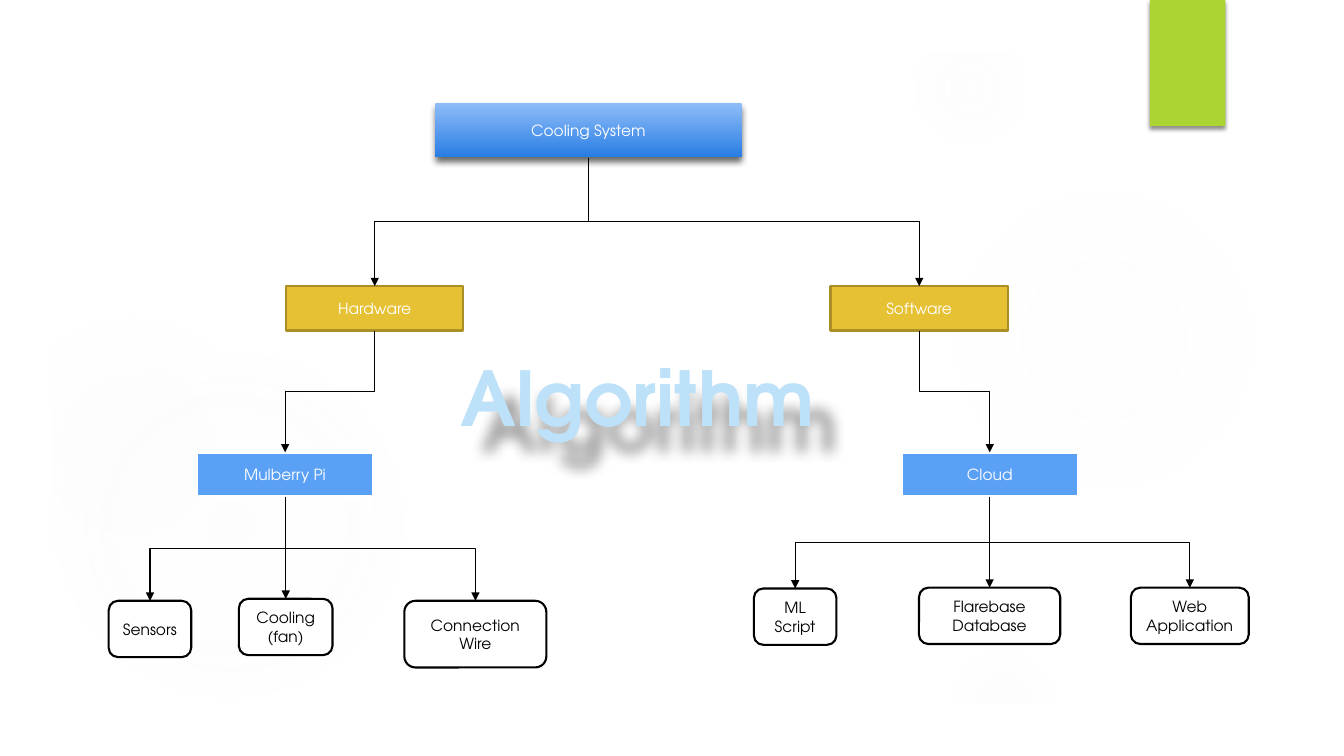
import pptx
import pptx.util
import pptx.oxml
from pptx.dml.color import RGBColor
from pptx.enum.shapes import MSO_CONNECTOR, MSO_SHAPE
from pptx.enum.text import MSO_ANCHOR, PP_ALIGN
from pptx.oxml.ns import nsdecls, qn

Cm, Pt = pptx.util.Cm, pptx.util.Pt

FONT = "TeX Gyre Adventor"
WHITE = RGBColor(0xFF, 0xFF, 0xFF)
BLACK = RGBColor(0x00, 0x00, 0x00)
GREEN = RGBColor(0xAC, 0xD4, 0x33)
SKY = RGBColor(0x8F, 0xBD, 0xF8)
ROYAL = RGBColor(0x28, 0x7D, 0xE4)
GOLD = RGBColor(0xE6, 0xC1, 0x33)
DARK_GOLD = RGBColor(0xAA, 0x8F, 0x26)
BLUE = RGBColor(0x5A, 0xA0, 0xF5)
PALE_BLUE = RGBColor(0xBD, 0xE1, 0xF8)
GLOW = RGBColor(0xF7, 0xF7, 0xF7)

WIDTH, HEIGHT = 33.87, 19.05
FRAME = 1.32

# left, top, diameter, (position, opacity) of each gradient stop in percent
GLOWS = [
    (0, 7.41, 11.64, [(0, 11), (36, 10), (75, 0)]),
    (0, 8.04, 6.56, [(0, 8), (36, 8), (72, 0)]),
    (23.9, 4.66, 7.83, [(0, 7), (36, 6), (69, 0)]),
    (22.22, 0, 4.45, [(0, 14), (36, 7), (73, 0)]),
    (23.9, 16.3, 2.75, [(0, 14), (36, 7), (66, 0)]),
]

# level style: preset, fill, line colour, line width, text colour
ROOT = (MSO_SHAPE.RECTANGLE, None, None, 0, WHITE)
BRANCH = (MSO_SHAPE.RECTANGLE, GOLD, DARK_GOLD, 1.5, WHITE)
PLATFORM = (MSO_SHAPE.RECTANGLE, BLUE, WHITE, 2.25, WHITE)
LEAF = (MSO_SHAPE.ROUNDED_RECTANGLE, WHITE, BLACK, 1.5, BLACK)

# label, box, style, children
TREE = ("Cooling System", (10.97, 2.6, 7.72, 1.37), ROOT, [
    ("Hardware", (7.21, 7.21, 4.47, 1.12), BRANCH, [
        ("Mulberry Pi", (4.95, 11.4, 4.47, 1.12), PLATFORM, [
            ("Sensors", (2.74, 15.14, 2.08, 1.42), LEAF, []),
            ("Cooling\n(fan)", (6.02, 15.09, 2.36, 1.42), LEAF, []),
            ("Connection\nWire", (10.19, 15.14, 3.58, 1.68), LEAF, []),
        ]),
    ]),
    ("Software", (20.93, 7.21, 4.47, 1.12), BRANCH, [
        ("Cloud", (22.71, 11.4, 4.47, 1.12), PLATFORM, [
            ("ML Script", (19, 14.83, 2.08, 1.42), LEAF, []),
            ("Flarebase\nDatabase", (23.16, 14.81, 3.56, 1.42), LEAF, []),
            ("Web Application", (28.5, 14.81, 2.97, 1.42), LEAF, []),
        ]),
    ]),
])


def xml(text):
    """Parse one DrawingML element, with the a: prefix declared."""
    head, tail = text.split(" ", 1)
    return pptx.oxml.parse_xml(f"{head} {nsdecls('a')} {tail}")


def add_shadow(shape, opacity, blur, distance, angle):
    shape.shadow.inherit = False
    shape.element.spPr.find(qn("a:effectLst")).append(xml(
        f'<a:outerShdw blurRad="{Pt(blur)}" dist="{Pt(distance)}" dir="{angle * 60000}" '
        f'algn="ctr" rotWithShape="0"><a:srgbClr val="000000">'
        f'<a:alpha val="{opacity * 1000}"/></a:srgbClr></a:outerShdw>'))


def add_plain_shape(s, preset, box, fill=None):
    sp = s.shapes.add_shape(preset, *map(Cm, box))
    sp.shadow.inherit = False
    sp.line.fill.background()
    if fill is not None:
        sp.fill.solid()
        sp.fill.fore_color.rgb = fill
    return sp


def write(shape, text, size, color, bold=False):
    tf = shape.text_frame
    tf.text = text
    tf.vertical_anchor = MSO_ANCHOR.MIDDLE
    for p in tf.paragraphs:
        p.alignment = PP_ALIGN.CENTER
        p.font.name = FONT
        p.font.size = Pt(size)
        p.font.bold = bold
        p.font.color.rgb = color
    return tf


def add_background(s, width, height):
    """Faint round glows, trimmed by a white frame, and the green tab."""
    for left, top, size, stops in GLOWS:
        sp = add_plain_shape(s, MSO_SHAPE.OVAL, (left, top, size, size), GLOW)
        fill = sp.element.spPr.find(qn("a:solidFill"))
        marks = "".join(
            f'<a:gs pos="{pos * 1000}"><a:srgbClr val="{GLOW}">'
            f'<a:alpha val="{alpha * 1000}"/></a:srgbClr></a:gs>' for pos, alpha in stops)
        fill.getparent().replace(fill, xml(
            f'<a:gradFill rotWithShape="1"><a:gsLst>{marks}</a:gsLst><a:path path="circle">'
            '<a:fillToRect l="50000" t="50000" r="50000" b="50000"/></a:path></a:gradFill>'))

    right, bottom = width - FRAME, height - FRAME
    fb = s.shapes.build_freeform(0, 0, scale=Cm(0.01))
    fb.add_line_segments([(0, height * 100), (width * 100, height * 100), (width * 100, 0)])
    fb.move_to(right * 100, bottom * 100)
    fb.add_line_segments([(FRAME * 100, bottom * 100), (FRAME * 100, FRAME * 100),
                          (right * 100, FRAME * 100)])
    frame = fb.convert_to_shape()
    frame.shadow.inherit = False
    frame.fill.solid()
    frame.fill.fore_color.rgb = WHITE
    frame.line.fill.background()

    tab = add_plain_shape(s, MSO_SHAPE.RECTANGLE, (width - 4.89, 0, 1.9, 3.18), GREEN)
    add_shadow(tab, 45, 3, 2, 90)


def add_box(s, label, box, style):
    preset, fill, line, line_width, color = style
    sp = add_plain_shape(s, preset, box, fill)
    if fill is None:
        sp.fill.gradient()
        sp.fill.gradient_angle = 270
        for stop, shade in zip(sp.fill.gradient_stops, (SKY, ROYAL)):
            stop.color.rgb = shade
        add_shadow(sp, 60, 5, 3, 90)
    else:
        sp.line.color.rgb = line
        sp.line.width = Pt(line_width)
    write(sp, label, 11, color).word_wrap = True


def add_arrow(s, parent, child):
    """Elbow arrow from the parent's bottom centre to the child's top centre."""
    x1, y1 = parent[0] + parent[2] / 2, parent[1] + parent[3]
    x2, y2 = child[0] + child[2] / 2, child[1]
    drop, shift = y2 - y1, abs(x2 - x1)
    left, top = (x1 + x2 - drop) / 2, (y1 + y2 - shift) / 2
    c = s.shapes.add_connector(MSO_CONNECTOR.ELBOW, Cm(left), Cm(top),
                               Cm(left + drop), Cm(top + shift))
    # The preset runs sideways, so it is turned to leave the parent downwards.
    xfrm = c.element.spPr.find(qn("a:xfrm"))
    xfrm.set("rot", "16200000" if x2 > x1 else "5400000")
    if x2 > x1:
        xfrm.set("flipH", "1")
    c.line.color.rgb = BLACK
    c.line.width = Pt(0.75)
    c.element.spPr.find(qn("a:ln")).append(xml('<a:tailEnd type="triangle"/>'))
    c.element.spPr.append(xml("<a:effectLst />"))


def add_tree(s, node):
    label, box, style, children = node
    add_box(s, label, box, style)
    for child in children:
        add_tree(s, child)
        add_arrow(s, box, child[1])


def add_title(s, text, box):
    tb = s.shapes.add_textbox(*map(Cm, box))
    write(tb, text, 54, PALE_BLUE, bold=True).word_wrap = False
    add_shadow(tb, 40, 10, 24, 50)


def main():
    prs = pptx.Presentation()
    prs.slide_width, prs.slide_height = Cm(WIDTH), Cm(HEIGHT)
    s = prs.slides.add_slide(prs.slide_layouts[6])
    add_background(s, WIDTH, HEIGHT)
    add_tree(s, TREE)
    add_title(s, "Algorithm", (11.3, 8.69, 9.53, 2.57))
    prs.save("out.pptx")


if __name__ == "__main__":
    main()
